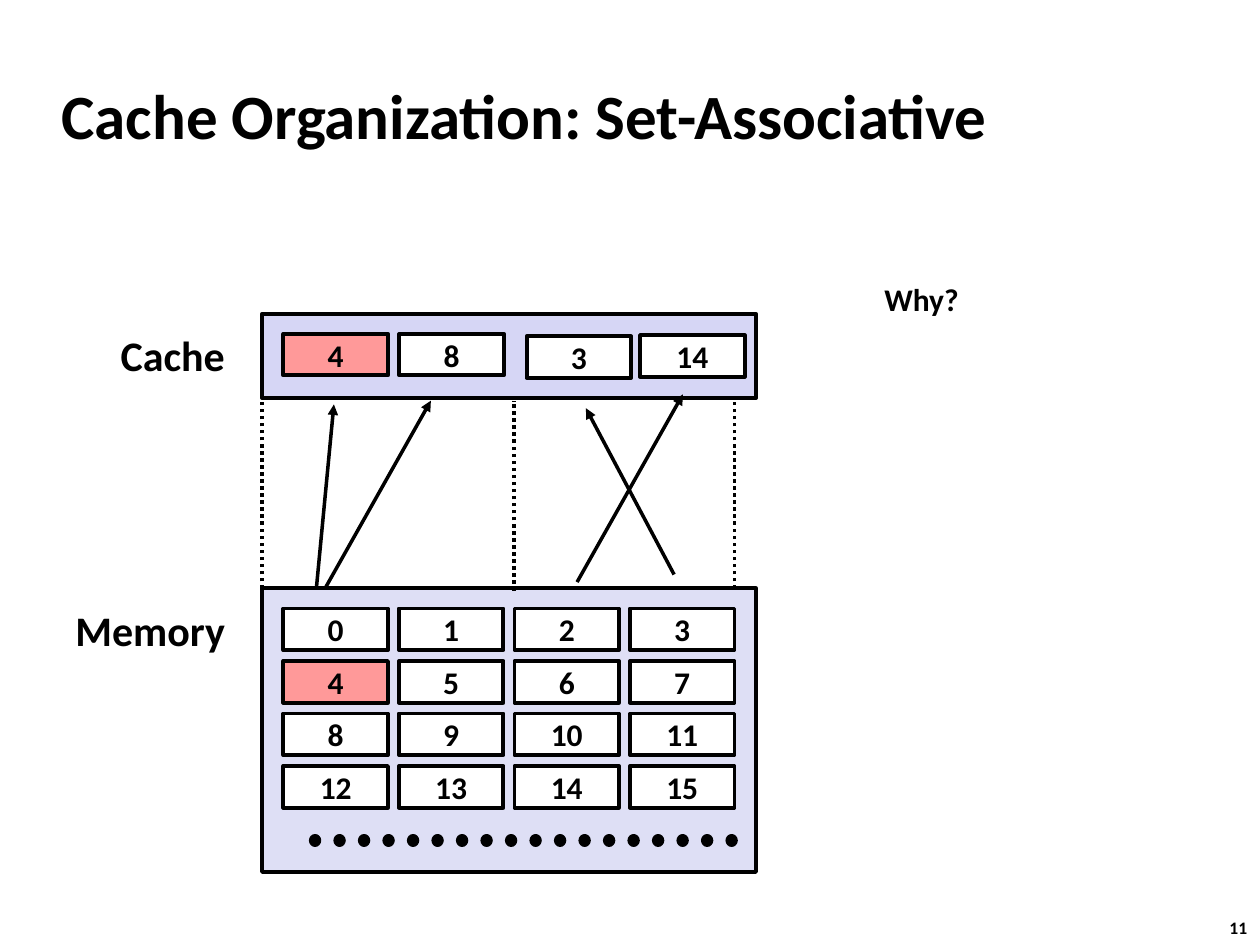
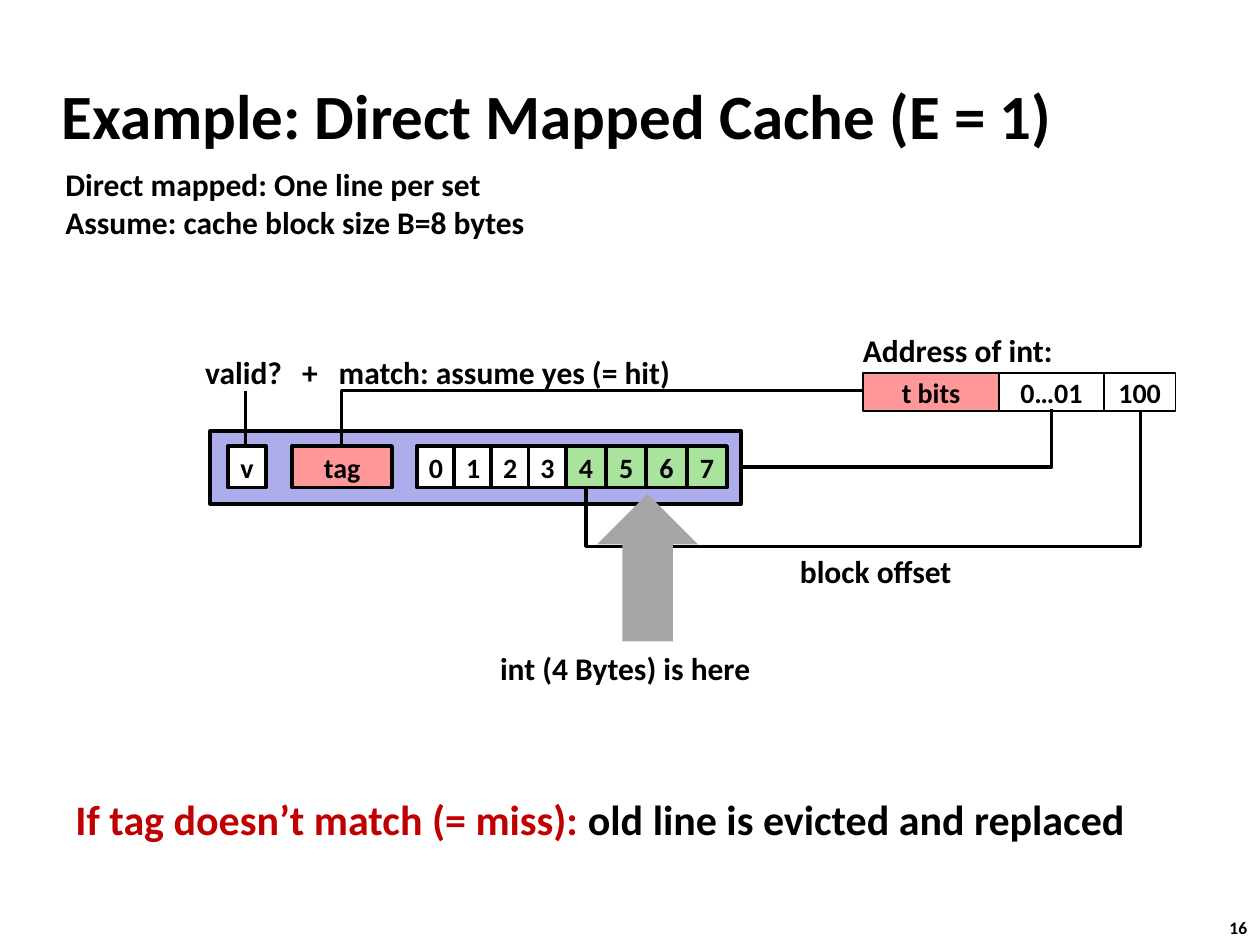
from dataclasses import dataclass

from pptx import Presentation
from pptx.dml.color import RGBColor
from pptx.enum.dml import MSO_LINE
from pptx.enum.shapes import MSO_CONNECTOR, MSO_SHAPE
from pptx.enum.text import MSO_ANCHOR, PP_ALIGN
from pptx.oxml.ns import qn
from pptx.util import Inches, Pt
from lxml import etree

RECTANGLE, UP_ARROW = MSO_SHAPE.RECTANGLE, MSO_SHAPE.UP_ARROW
STRAIGHT, ELBOW = MSO_CONNECTOR.STRAIGHT, MSO_CONNECTOR.ELBOW
DOTTED = MSO_LINE.ROUND_DOT
MIDDLE, CENTER = MSO_ANCHOR.MIDDLE, PP_ALIGN.CENTER

FONT = "Calibri"
BLACK, WHITE, RED = "000000", "FFFFFF", "C00000"
PINK, GREEN, GRAY = "FF9999", "A9E39D", "A6A6A6"
MEMORY_FILL, CACHE_FILL, LINE_FILL = "DEDFF5", "D6D6F5", "ADADEB"


@dataclass
class Label:
    left: float
    top: float
    width: float
    height: float
    text: str
    size: int = 18


@dataclass
class Cell:
    left: float
    top: float
    width: float
    height: float
    text: str = ""
    fill: str = WHITE
    size: int = 18
    border: float = 2.25


@dataclass
class Line:
    x1: float
    y1: float
    x2: float
    y2: float
    weight: float = 2
    dotted: bool = False
    arrow: bool = False
    round_cap: bool = False


@dataclass
class Bend:
    """An elbow, given by its frame before it is turned."""
    left: float
    top: float
    width: float
    height: float
    turn: int
    preset: str = "bentConnector2"
    flip: bool = False
    adjust: int = 0


def color(value: str) -> RGBColor:
    return RGBColor.from_string(value)


def add_span(para, text: str, size: int, ink: str = BLACK) -> None:
    span = para.add_run()
    span.text = text
    span.font.name = FONT
    span.font.size = Pt(size)
    span.font.bold = True
    span.font.color.rgb = color(ink)


def add_label(page, label: Label):
    """Draw a text box, one paragraph for each line of text."""
    box = page.shapes.add_textbox(Inches(label.left), Inches(label.top),
                                  Inches(label.width), Inches(label.height))
    frame = box.text_frame
    frame.word_wrap = False
    for index, text in enumerate(label.text.split("\n")):
        para = frame.add_paragraph() if index else frame.paragraphs[0]
        add_span(para, text, label.size)
    return box


def add_cell(page, cell: Cell, kind=RECTANGLE) -> None:
    shape = page.shapes.add_shape(kind, Inches(cell.left), Inches(cell.top),
                                  Inches(cell.width), Inches(cell.height))
    shape.shadow.inherit = False
    shape.fill.solid()
    shape.fill.fore_color.rgb = color(cell.fill)
    if cell.border:
        shape.line.color.rgb = color(BLACK)
        shape.line.width = Pt(cell.border)
    else:
        shape.line.fill.background()
    if cell.text:
        frame = shape.text_frame
        frame.margin_left = frame.margin_right = 0
        frame.vertical_anchor = MIDDLE
        para = frame.paragraphs[0]
        para.alignment = CENTER
        add_span(para, cell.text, cell.size)


def style_connector(connector, weight: float) -> None:
    connector.line.color.rgb = color(BLACK)
    connector.line.width = Pt(weight)
    etree.SubElement(connector._element.spPr, qn("a:effectLst"))


def add_line(page, line: Line) -> None:
    connector = page.shapes.add_connector(STRAIGHT, Inches(line.x1), Inches(line.y1),
                                          Inches(line.x2), Inches(line.y2))
    style_connector(connector, line.weight)
    stroke = connector.line._get_or_add_ln()
    if line.dotted:
        connector.line.dash_style = DOTTED
    if line.round_cap:
        stroke.set("cap", "rnd")
    if line.arrow:
        etree.SubElement(stroke, qn("a:tailEnd"), type="triangle")


def add_bend(page, bend: Bend) -> None:
    connector = page.shapes.add_connector(
        ELBOW, Inches(bend.left), Inches(bend.top),
        Inches(bend.left + bend.width), Inches(bend.top + bend.height))
    style_connector(connector, 2)
    properties = connector._element.spPr
    frame = properties.find(qn("a:xfrm"))
    frame.set("rot", str(bend.turn * 60000))
    if bend.flip:
        frame.set("flipV", "1")
    geometry = properties.find(qn("a:prstGeom"))
    geometry.set("prst", bend.preset)
    if bend.adjust:
        guides = geometry.find(qn("a:avLst"))
        if guides is None:
            guides = etree.SubElement(geometry, qn("a:avLst"))
        etree.SubElement(guides, qn("a:gd"), name="adj1", fmla=f"val {bend.adjust}")


def add_page(deck, title: str, number: str):
    """Start a slide with the shared title and page number."""
    page = deck.slides.add_slide(deck.slide_layouts[6])
    add_label(page, Label(9.66, 7.23, 0.37, 0.27, number, 10))
    heading = add_label(page, Label(0.39, 0.49, 8.3, 0.83, title, 36))
    heading.text_frame.word_wrap = True
    heading.text_frame.vertical_anchor = MIDDLE
    return page


def build_set_associative(deck) -> None:
    page = add_page(deck, "Cache Organization: Set-Associative", "11")
    block_width, block_height = 0.83, 0.33

    # Memory and cache areas
    add_cell(page, Cell(2.08, 4.67, 3.92, 2.25, fill=MEMORY_FILL))
    add_cell(page, Cell(2.08, 2.49, 3.92, 0.67, fill=CACHE_FILL))

    # Memory blocks, four to a row
    for block in range(16):
        row, column = divmod(block, 4)
        add_cell(page, Cell(2.25 + column * 2.75 / 3, 4.83 + row * 1.25 / 3,
                            block_width, block_height, str(block),
                            PINK if block == 4 else WHITE))
    add_line(page, Line(2.5, 6.67, 5.83, 6.67, 7, dotted=True, round_cap=True))

    # Cached blocks
    for left, top, text, fill in ((2.25, 2.65, "4", PINK), (3.17, 2.65, "8", WHITE),
                                  (5.08, 2.66, "14", WHITE), (4.18, 2.67, "3", WHITE)):
        add_cell(page, Cell(left, top, block_width, block_height, text, fill))

    # Labels
    for label in (Label(0.86, 2.57, 1.04, 0.5, "Cache", 24),
                  Label(0.5, 4.75, 1.4, 0.5, "Memory", 24),
                  Label(6.92, 2.17, 0.79, 0.4, "Why?")):
        add_label(page, label)

    # Set boundaries
    for x, bottom, top in ((4.08, 4.69, 3.18), (5.83, 4.67, 3.15), (2.08, 4.67, 3.15)):
        add_line(page, Line(x, bottom, x, top, dotted=True))

    # Arrows from memory to cache
    for ends in ((2.58, 4.67, 3.42, 3.18), (2.51, 4.68, 2.65, 3.21),
                 (4.58, 4.62, 5.42, 3.13), (5.35, 4.56, 4.65, 3.24)):
        add_line(page, Line(*ends, arrow=True))


def build_direct_mapped(deck) -> None:
    page = add_page(deck, "Example: Direct Mapped Cache (E = 1)", "16")
    add_label(page, Label(0.42, 1.26, 3.88, 0.71,
                          "Direct mapped: One line per set\n"
                          "Assume: cache block size B=8 bytes"))

    # Address fields
    left = 6.85
    for text, width, fill in (("t bits", 1.08, PINK), ("0…01", 0.83, WHITE),
                              ("100", 0.57, WHITE)):
        add_cell(page, Cell(left, 2.96, width, 0.3, text, fill, 16, 1))
        left += width

    # Cache line: valid bit, tag and eight bytes
    add_cell(page, Cell(1.67, 3.42, 4.21, 0.58, fill=LINE_FILL))
    fields = [(1.81, 0.3, "v", WHITE), (2.32, 0.79, "tag", PINK)]
    fields += [(3.31 + byte * 1.18 / 4, 0.3, str(byte), WHITE) for byte in range(4)]
    fields += [(4.49 + byte * 0.32, 0.32, str(byte + 4), GREEN) for byte in range(4)]
    for left, width, text, fill in fields:
        add_cell(page, Cell(left, 3.54, width, 0.33, text, fill, 16))

    # Links from the address to the cache line
    for bend in (Bend(6.88, 2.24, 0.46, 2.47, 90),
                 Bend(2.71, 3.1, 4.14, 0.44, 180, flip=True),
                 Bend(6.54, 1.36, 0.62, 4.4, 90, "bentConnector3", adjust=175100)):
        add_bend(page, bend)
    add_line(page, Line(1.95, 3.1, 1.95, 3.54))
    add_cell(page, Cell(4.74, 3.92, 0.8, 1.17, fill=GRAY, border=0), UP_ARROW)

    # Labels
    for label in (Label(6.75, 2.58, 1.72, 0.4, "Address of int:"),
                  Label(2.59, 2.75, 2.86, 0.4, "match: assume yes (= hit)"),
                  Label(1.53, 2.75, 0.81, 0.4, "valid?"),
                  Label(2.3, 2.75, 0.33, 0.4, "+"),
                  Label(3.87, 5.1, 2.21, 0.4, "int (4 Bytes) is here"),
                  Label(6.25, 4.33, 1.42, 0.4, "block offset")):
        add_label(page, label)

    # Conclusion
    box = page.shapes.add_textbox(Inches(0.5), Inches(6.25), Inches(8.61), Inches(0.5))
    box.text_frame.word_wrap = False
    para = box.text_frame.paragraphs[0]
    add_span(para, "If tag doesn’t match (= miss): ", 24, RED)
    add_span(para, "old line is evicted and replaced", 24)


def main() -> None:
    deck = Presentation()
    deck.slide_width, deck.slide_height = Inches(10), Inches(7.5)
    build_set_associative(deck)
    build_direct_mapped(deck)
    deck.save("out.pptx")


if __name__ == "__main__":
    main()
